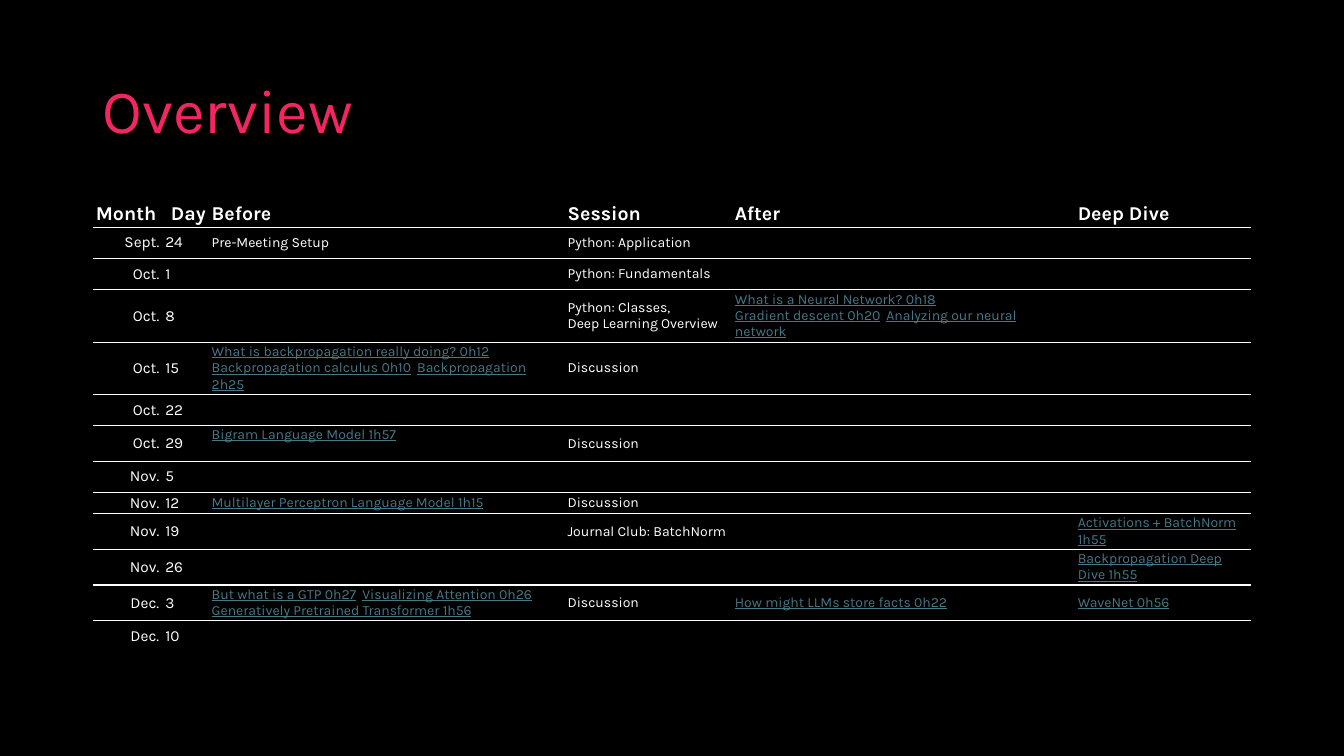
from dataclasses import dataclass

from lxml import etree
from pptx import Presentation
from pptx.dml.color import RGBColor
from pptx.enum.text import MSO_ANCHOR, PP_ALIGN
from pptx.oxml.ns import qn
from pptx.util import Inches, Pt

LEFT, RIGHT = PP_ALIGN.LEFT, PP_ALIGN.RIGHT
TOP, MIDDLE = MSO_ANCHOR.TOP, MSO_ANCHOR.MIDDLE
NO_GRID_STYLE = "{2D5ABB26-0587-4C30-8999-92F81FD0307C}"


@dataclass(frozen=True)
class Theme:
    font: str = "Karla"
    background: str = "000000"
    accent: str = "F32660"
    text: str = "FFFFFF"
    link: str = "467886"
    title_size: int = 44
    header_size: int = 14
    date_size: int = 11
    body_size: int = 10
    rule_width: int = 1
    link_gap: int = 2


# Each cell is a tuple of lines: a string is plain text, a list holds links.
HEADERS = ("Month", "Day", "Before", "Session", "After", "Deep Dive")
COLUMN_WIDTHS = (0.69, 0.46, 3.53, 1.66, 3.4, 1.75)
HEADER_HEIGHT = 0.25
DISCUSSION = ("Discussion",)
SCHEDULE = [
    (0.31, "Sept.", "24", ("Pre-Meeting Setup",), ("Python: Application",), (), ()),
    (0.31, "Oct.", "1", (), ("Python: Fundamentals",), (), ()),
    (0.52, "Oct.", "8", (), ("Python: Classes,", "Deep Learning Overview"),
     (["What is a Neural Network? 0h18"],
      ["Gradient descent 0h20", "Analyzing our neural"], ["network"]), ()),
    (0.52, "Oct.", "15",
     (["What is backpropagation really doing? 0h12"],
      ["Backpropagation calculus 0h10", "Backpropagation"], ["2h25"]),
     DISCUSSION, (), ()),
    (0.31, "Oct.", "22", (), (), (), ()),
    (0.35, "Oct.", "29", (["Bigram Language Model 1h57"],), DISCUSSION, (), ()),
    (0.31, "Nov.", "5", (), (), (), ()),
    (0.21, "Nov.", "12", (["Multilayer Perceptron Language Model 1h15"],),
     DISCUSSION, (), ()),
    (0.355, "Nov.", "19", (), ("Journal Club: BatchNorm",), (),
     (["Activations + BatchNorm 1h55"],)),
    (0.355, "Nov.", "26", (), (), (), (["Backpropagation Deep Dive 1h55"],)),
    (0.355, "Dec.", "3",
     (["But what is a GTP 0h27", "Visualizing Attention 0h26"],
      ["Generatively Pretrained Transformer 1h56"]),
     DISCUSSION, (["How might LLMs store facts 0h22"],), (["WaveNet 0h56"],)),
    (0.31, "Dec.", "10", (), (), (), ()),
]
TOP_ALIGNED = {(6, 2)}


class SlideBuilder:
    def __init__(self, prs, theme):
        self.theme = theme
        self.s = prs.slides.add_slide(prs.slide_layouts[6])
        fill = self.s.background.fill
        fill.solid()
        fill.fore_color.rgb = RGBColor.from_string(theme.background)

    def run(self, p, text, size, color, bold=False, underline=False):
        r = p.add_run()
        r.text = text
        r.font.name = self.theme.font
        r.font.size = Pt(size)
        r.font.bold = bold
        r.font.underline = underline
        r.font.color.rgb = RGBColor.from_string(color)
        return r

    def title(self, text, left, top, width, height):
        tf = self.s.shapes.add_textbox(
            Inches(left), Inches(top), Inches(width), Inches(height)).text_frame
        tf.word_wrap = True
        tf.vertical_anchor = MIDDLE
        p = tf.paragraphs[0]
        p.line_spacing = 0.9
        self.run(p, text, self.theme.title_size, self.theme.accent)

    def table(self, left, top, widths, heights):
        table = self.s.shapes.add_table(
            len(heights), len(widths), Inches(left), Inches(top),
            Inches(sum(widths)), Inches(sum(heights))).table
        table.first_row = table.horz_banding = False
        table._tbl.tblPr.find(qn("a:tableStyleId")).text = NO_GRID_STYLE
        for column, width in zip(table.columns, widths):
            column.width = Inches(width)
        for row, height in zip(table.rows, heights):
            row.height = Inches(height)
        return table

    def cell(self, cell, lines, size, align=LEFT, anchor=MIDDLE, bold=False, ruled=True):
        t = self.theme
        cell.margin_left = cell.margin_right = Inches(0.03)
        cell.margin_top = cell.margin_bottom = Inches(0.01)
        cell.vertical_anchor = anchor
        if ruled:
            self.rule_below(cell)
        cell.fill.background()
        tf = cell.text_frame
        for i, line in enumerate(lines):
            p = tf.add_paragraph() if i else tf.paragraphs[0]
            p.alignment = align
            if isinstance(line, str):
                self.run(p, line, size, t.text, bold)
            else:
                self.links(p, line, size)
        if not lines:
            # An empty cell keeps the body size so its row stays low
            end = etree.SubElement(tf.paragraphs[0]._p, qn("a:endParaRPr"))
            end.set("sz", str(size * 100))

    def links(self, p, names, size):
        for i, name in enumerate(names):
            if i:
                gap = self.run(p, " ", size, self.theme.text)
                gap.font._element.set("spc", str(self.theme.link_gap * 100))
            self.run(p, name, size, self.theme.link, underline=True)

    def rule_below(self, cell):
        line = etree.SubElement(cell._tc.get_or_add_tcPr(), qn("a:lnB"))
        line.set("w", str(Pt(self.theme.rule_width)))
        fill = etree.SubElement(line, qn("a:solidFill"))
        etree.SubElement(fill, qn("a:srgbClr")).set("val", self.theme.text)


def main():
    prs = Presentation()
    prs.slide_width, prs.slide_height = Inches(13.33), Inches(7.5)
    theme = Theme()
    slide = SlideBuilder(prs, theme)

    # Title
    slide.title("Overview", 0.92, 0.4, 11.5, 1.45)

    # Schedule frame
    heights = [HEADER_HEIGHT] + [row[0] for row in SCHEDULE]
    table = slide.table(0.92, 2, COLUMN_WIDTHS, heights)

    # Header row
    for col, name in enumerate(HEADERS):
        slide.cell(table.cell(0, col), (name,), theme.header_size,
                   align=RIGHT if name == "Day" else LEFT, bold=True)

    # One row per meeting, with a rule below all but the last
    for row, (_, month, day, *topics) in enumerate(SCHEDULE, start=1):
        ruled = row < len(SCHEDULE)
        slide.cell(table.cell(row, 0), (month,), theme.date_size, RIGHT, ruled=ruled)
        slide.cell(table.cell(row, 1), (day,), theme.date_size, ruled=ruled)
        for col, lines in enumerate(topics, start=2):
            anchor = TOP if (row, col) in TOP_ALIGNED else MIDDLE
            slide.cell(table.cell(row, col), lines, theme.body_size,
                       anchor=anchor, ruled=ruled)

    prs.save("out.pptx")


if __name__ == "__main__":
    main()
